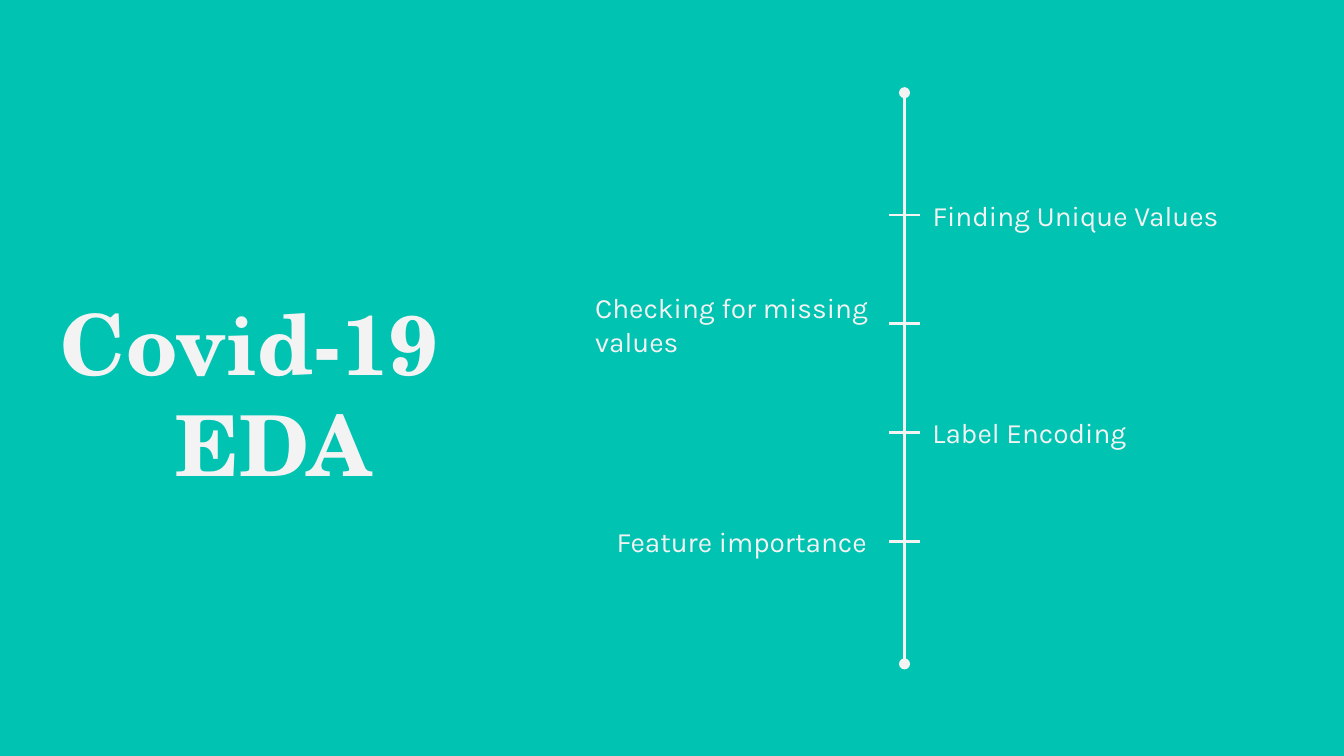
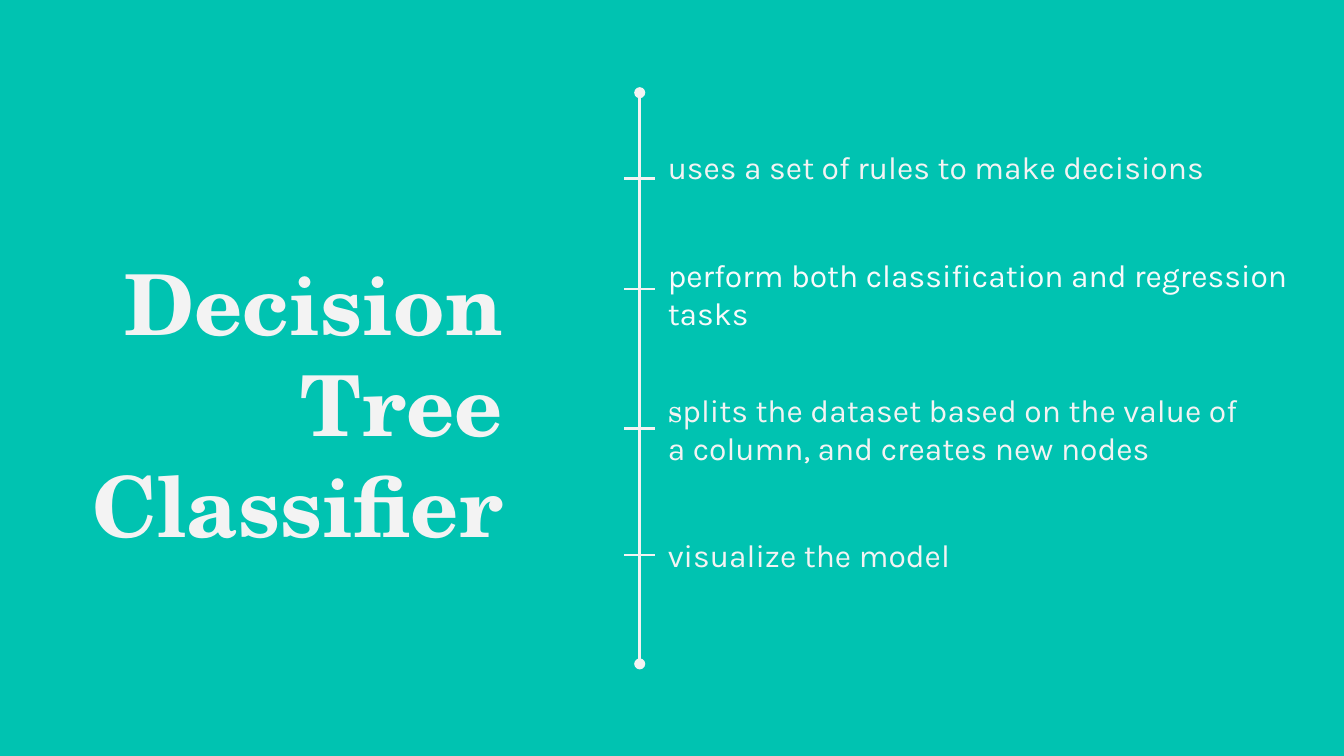
from dataclasses import dataclass

from lxml.etree import SubElement
from pptx import Presentation
from pptx.dml.color import RGBColor
from pptx.enum.shapes import MSO_CONNECTOR as Conn
from pptx.enum.text import MSO_ANCHOR as Anchor, MSO_AUTO_SIZE as AutoSize, PP_ALIGN as Align
from pptx.oxml.ns import qn
from pptx.util import Inches, Pt

# Shared look
TEAL = RGBColor(0x00, 0xC3, 0xB1)
LIGHT = RGBColor(0xF3, 0xF3, 0xF3)
PALE = RGBColor(0xF8, 0xFA, 0xFB)
SERIF, SANS = "TeX Gyre Schola", "Karla"
TITLE_FONT = dict(name=SERIF, size=Pt(45), bold=True)

# Grid of square cells, 100 columns across the slide
COLS, ROWS = 100, 56.25
CELL = Inches(0.1)
AXIS_TOP, AXIS_END = 6.9, 49.4
TICK_HALF = 1.15
LABEL_H = 6.9
LABEL_GAP = 1.1


@dataclass
class Title:
    lines: list[str]
    box: tuple[float, float, float, float]
    centre_indent: float = 0  # indent of the centred lines after the first


@dataclass
class Label:
    lines: list[str]
    row: float                # row of the tick the label is centred on
    width: float
    shift: float = LABEL_GAP  # from the axis to the left side of the box
    anchor: Anchor = Anchor.MIDDLE
    bottom: float = 1         # bottom inset
    color: RGBColor = LIGHT
    serif_start: int = 0      # leading letters set in the serif font


@dataclass
class Timeline:
    title: Title
    axis: float
    size: float
    labels: list[Label]


def cells(n: float) -> int:
    return round(n * CELL)


def set_frame(tf, anchor: Anchor, bottom: float = 1) -> None:
    frame = dict(word_wrap=True, auto_size=AutoSize.NONE, vertical_anchor=anchor,
                 margin_left=cells(1), margin_right=cells(1),
                 margin_top=cells(1), margin_bottom=cells(bottom))
    for key, value in frame.items():
        setattr(tf, key, value)


def add_run(p, text: str, color: RGBColor, font: dict) -> None:
    r = p.add_run()
    r.text = text
    r.font.color.rgb = color
    for key, value in font.items():
        setattr(r.font, key, value)


def add_paragraph(tf, i: int):
    return tf.add_paragraph() if i else tf.paragraphs[0]


def set_title(s, title: Title) -> None:
    sp = s.shapes.title
    for key, value in zip(("left", "top", "width", "height"), title.box):
        setattr(sp, key, cells(value))
    set_frame(sp.text_frame, Anchor.TOP)
    for i, line in enumerate(title.lines):
        p = add_paragraph(sp.text_frame, i)
        p.alignment = Align.CENTER if i else Align.RIGHT
        if i:
            p_pr = p._p.get_or_add_pPr()
            p_pr.set("marL", str(cells(title.centre_indent)))
            p_pr.set("indent", "0")
        add_run(p, line, LIGHT, TITLE_FONT)


def add_line(s, x1: float, y1: float, x2: float, y2: float, dots: bool = False) -> None:
    line = s.shapes.add_connector(Conn.STRAIGHT, *map(cells, (x1, y1, x2, y2)))
    line.line.color.rgb = LIGHT
    line.line.width = Pt(1.5)
    if dots:
        ln = line.line._get_or_add_ln()
        for end in ("a:headEnd", "a:tailEnd"):
            SubElement(ln, qn(end), type="oval")
    SubElement(line._element.spPr, qn("a:effectLst"))


def add_label(s, label: Label, axis: float, size: float) -> None:
    box = (axis + label.shift, label.row - LABEL_H / 2, label.width, LABEL_H)
    tf = s.shapes.add_textbox(*map(cells, box)).text_frame
    set_frame(tf, label.anchor, label.bottom)
    for i, line in enumerate(label.lines):
        p = add_paragraph(tf, i)
        n = 0 if i else label.serif_start
        for text, name in ((line[:n], SERIF), (line[n:], SANS)):
            if text:
                add_run(p, text, label.color, dict(name=name, size=Pt(size)))


def add_timeline(prs, t: Timeline) -> None:
    s = prs.slides.add_slide(prs.slide_layouts[5])
    s.background.fill.solid()
    s.background.fill.fore_color.rgb = TEAL
    set_title(s, t.title)
    add_line(s, t.axis, AXIS_TOP, t.axis, AXIS_END, dots=True)
    for label in t.labels:
        add_label(s, label, t.axis, t.size)
        add_line(s, t.axis - TICK_HALF, label.row, t.axis + TICK_HALF, label.row)


# Steps of the analysis, at equal distances along the axis
STEP_ROWS = [16 + 8.1 * i for i in range(4)]
EDA = Timeline(
    Title(["Covid-19", "EDA"], (1.5, 20.7, 32.1, 17.3), centre_indent=5.6),
    axis=67.3, size=15,
    labels=[
        Label(["Finding Unique Values"], STEP_ROWS[0], 27.5),
        Label(["Checking for missing", "values"], STEP_ROWS[1], 29.8,
              shift=-24, anchor=Anchor.TOP),
        Label(["Label Encoding"], STEP_ROWS[2], 22.6),
        Label(["Feature importance"], STEP_ROWS[3], 26.6, shift=-22.4),
    ])

# Properties of the classifier
CLASSIFIER = Timeline(
    Title(["Decision Tree Classifier"], (2.5, 17.7, 35.9, 25)),
    axis=47.6, size=17,
    labels=[
        Label(["uses a set of rules to make decisions"], 13.3, 42.5, bottom=2.8),
        Label(["perform both classification and regression tasks"], 21.5, 48.2,
              anchor=Anchor.TOP, color=PALE),
        Label(["splits the dataset based on the value of a column, "
               "and creates new nodes"], 31.9, 44.5, serif_start=1),
        Label(["visualize the model"], 41.3, 42.5),
    ])


def main() -> None:
    prs = Presentation()
    prs.slide_width, prs.slide_height = cells(COLS), cells(ROWS)
    for timeline in (EDA, CLASSIFIER):
        add_timeline(prs, timeline)
    prs.save("out.pptx")


if __name__ == "__main__":
    main()
